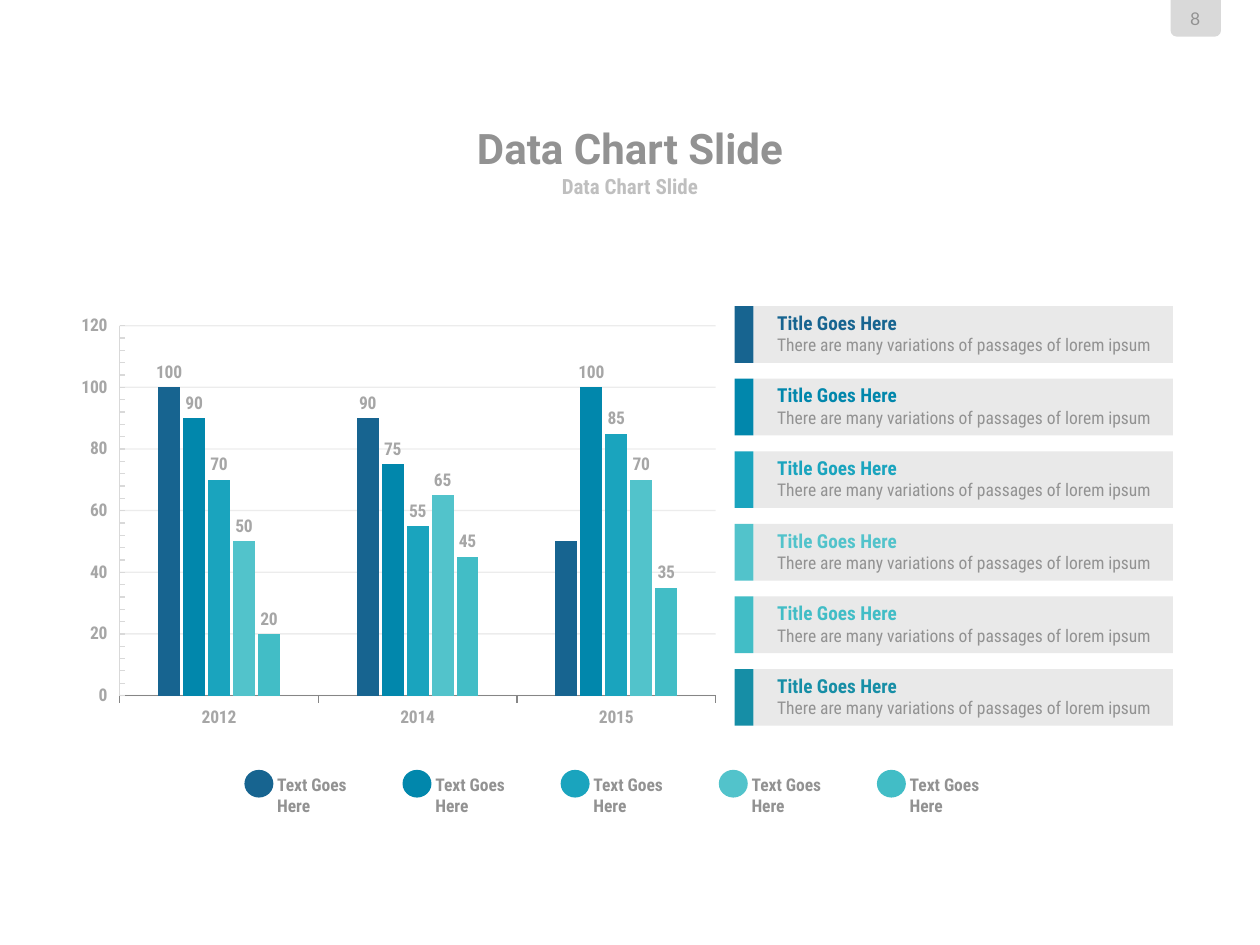
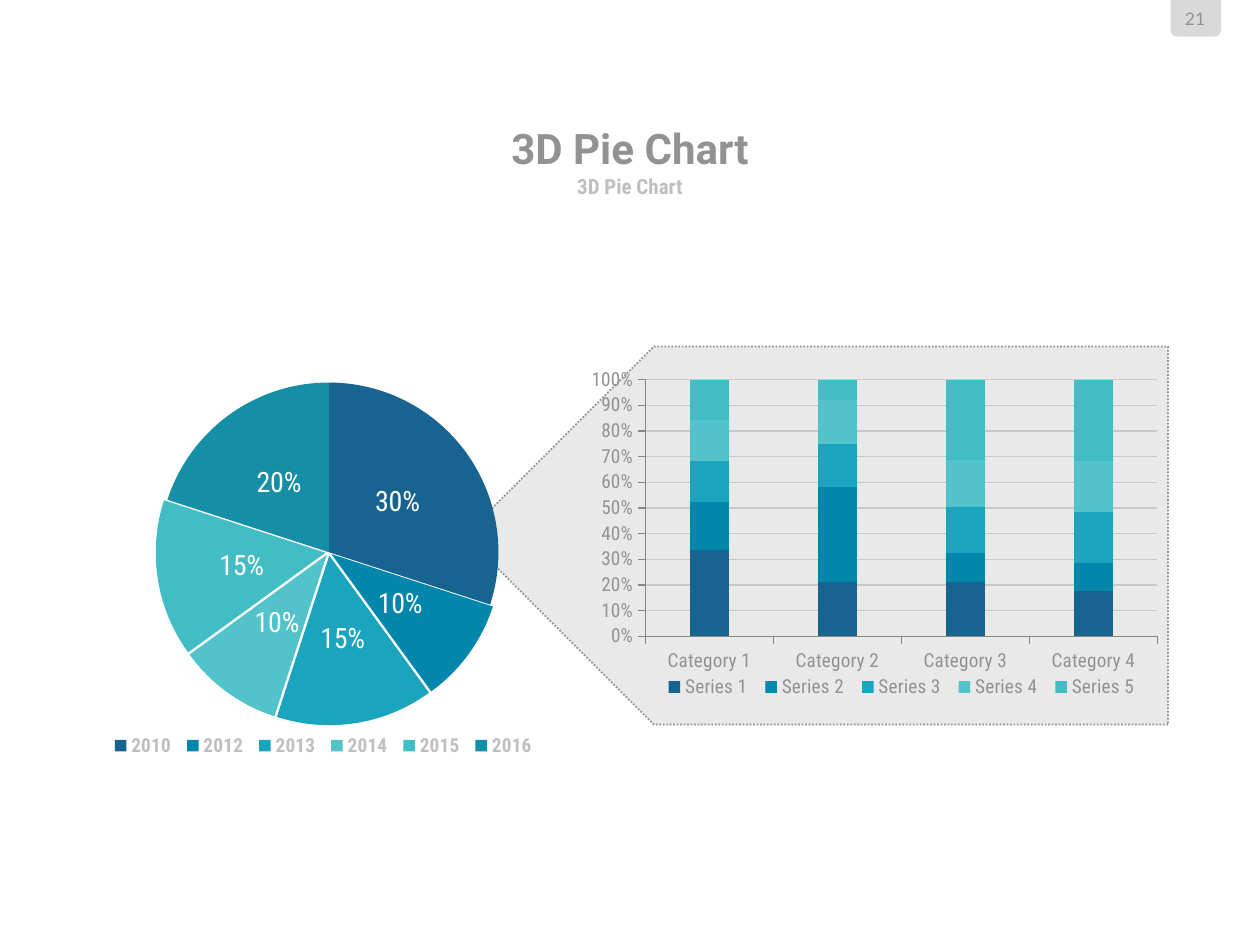
from lxml import etree
from pptx import Presentation
from pptx import util as u
from pptx.chart.data import CategoryChartData
from pptx.dml.color import RGBColor
from pptx.enum import chart as ch, dml, shapes, text
from pptx.oxml import parse_xml
from pptx.oxml.ns import nsdecls, qn

COLORS = {
    "navy": "176490", "ocean": "0187AC", "teal": "1AA4BE",
    "aqua": "52C3CB", "mint": "42BDC6", "deep": "168EA6",
    "grey": "929292", "mid": "A6A6A6", "light": "BFBFBF", "axis": "868686",
    "grid": "C9C9C9", "rule": "D9D9D9", "panel": "E9E9E9", "white": "FFFFFF",
}
PALETTE = ["navy", "ocean", "teal", "aqua", "mint", "deep"]
HEAD, BODY, NUMBER = "Roboto", "Roboto Condensed", "Lato"
COLS, ROWS = 100, 75
SHAPE, TYPE = shapes.MSO_SHAPE, ch.XL_CHART_TYPE
ALIGN, ANCHOR = text.PP_ALIGN, text.MSO_ANCHOR


def rgb(name):
    return RGBColor.from_string(COLORS[name])


def assign(obj, values):
    for key, value in values.items():
        setattr(obj, key, value)


class Deck:
    """Holds the style and the current slide; places are in grid columns and rows."""

    def __init__(self):
        self.prs = Presentation()
        self.prs.slide_width, self.prs.slide_height = u.Inches(10), u.Inches(7.5)
        self.s = None

    def box(self, x, y, w, h):
        col, row = self.prs.slide_width / COLS, self.prs.slide_height / ROWS
        return [u.Emu(round(v)) for v in (x * col, y * row, w * col, h * row)]

    def font(self, font, size, color, name=BODY, bold=False):
        assign(font, {"size": u.Pt(size), "name": name, "bold": bold})
        font.color.rgb = rgb(color)

    def shape(self, kind, at, fill, line=None, turn=0):
        sp = self.s.shapes.add_shape(kind, *self.box(*at))
        sp.shadow.inherit = False
        sp.rotation = turn
        sp.fill.solid()
        sp.fill.fore_color.rgb = rgb(fill)
        if line:
            sp.line.color.rgb = rgb(line)
            assign(sp.line, {"width": u.Pt(1), "dash_style": dml.MSO_LINE.ROUND_DOT})
        else:
            sp.line.fill.background()

    def text(self, at, lines, align=ALIGN.LEFT, anchor=ANCHOR.TOP, inset=(0, 0)):
        """Each line is a pair: its wording and its font values."""
        tf = self.s.shapes.add_textbox(*self.box(*at)).text_frame
        side, end = map(u.Inches, inset)
        assign(tf, {"word_wrap": True, "vertical_anchor": anchor,
                    "margin_left": side, "margin_right": side,
                    "margin_top": end, "margin_bottom": end})
        for i, (words, fmt) in enumerate(lines):
            p = tf.paragraphs[0] if i == 0 else tf.add_paragraph()
            p.alignment = align
            r = p.add_run()
            r.text = words
            self.font(r.font, **fmt)

    def slide(self, title, number):
        self.s = self.prs.slides.add_slide(self.prs.slide_layouts[6])
        centred = {"align": ALIGN.CENTER, "anchor": ANCHOR.MIDDLE}
        # Page badge
        self.shape(SHAPE.ROUND_2_SAME_RECTANGLE, (92.9, 0, 4, 2.9), "rule", turn=180)
        self.text((93.2, 0.6, 3.3, 1.7),
                  [(number, {"size": 10, "color": "grey", "name": NUMBER})], **centred)
        # Title and subtitle
        self.text((19.2, 9.8, 61.6, 3.9),
                  [(title, {"size": 24, "color": "grey", "name": HEAD, "bold": True})],
                  **centred)
        self.text((27.5, 13.7, 45, 2.2),
                  [(title, {"size": 12, "color": "light", "bold": True})], **centred)

    def layout(self, parent, index, place, inner=False):
        """Fix a plot area or legend at shares (x, y, w, h) of its chart."""
        for old in parent.findall(qn("c:layout")):
            parent.remove(old)
        node = parse_xml(f'<c:layout {nsdecls("c")}><c:manualLayout/></c:layout>')
        parts = [("layoutTarget", "inner")] if inner else []
        parts += [("xMode", "edge"), ("yMode", "edge"), *zip("xywh", place)]
        for tag, value in parts:
            etree.SubElement(node[0], qn(f"c:{tag}")).set("val", str(value))
        parent.insert(index, node)

    def chart(self, kind, at, cats, rows, fmt, plot, number_format="General"):
        data = CategoryChartData(number_format=number_format)
        data.categories = cats
        for i, values in enumerate(rows, 1):
            data.add_series(f"Series {i}", values)
        chart = self.s.shapes.add_chart(kind, *self.box(*at), data).chart
        assign(chart, {"has_title": False, "has_legend": False})
        self.font(chart.font, **fmt)
        self.layout(chart.element.xpath(".//c:plotArea")[0], 0, plot, inner=True)
        chart.plots[0].vary_by_categories = kind == TYPE.PIE
        return chart

    def columns(self, *args, gap, overlap, grid, axis, **kw):
        chart = self.chart(*args, **kw)
        assign(chart.plots[0], {"gap_width": gap, "overlap": overlap})
        for ser, color in zip(chart.plots[0].series, PALETTE):
            ser.format.fill.solid()
            ser.format.fill.fore_color.rgb = rgb(color)
            ser.invert_if_negative = False
        cat, val = chart.category_axis, chart.value_axis
        cat.major_tick_mark = ch.XL_TICK_MARK.OUTSIDE
        val.has_major_gridlines = True
        for line, color in ((cat.format.line, "axis"), (val.format.line, axis),
                            (val.major_gridlines.format.line, grid)):
            line.color.rgb = rgb(color)
            line.width = u.Pt(0.75)
        return chart

    def legend(self, chart, place, **fmt):
        chart.has_legend = True
        assign(chart.legend, {"position": ch.XL_LEGEND_POSITION.BOTTOM,
                              "include_in_layout": False})
        self.font(chart.legend.font, **fmt)
        self.layout(chart.element.xpath(".//c:legend")[0], 1, place)

    def card(self, y, color):
        self.shape(SHAPE.RECTANGLE, (59.8, y, 33.3, 4.5), "panel")
        self.shape(SHAPE.RECTANGLE, (58.3, y, 1.5, 4.5), color)
        self.text((60.7, y - 0.1, 32.7, 4.7),
                  [("Title Goes Here", {"size": 11, "color": color, "bold": True}),
                   ("There are many variations of passages of lorem ipsum",
                    {"size": 10, "color": "grey"})], inset=(0.1, 0.05))

    def key(self, x, color):
        self.shape(SHAPE.OVAL, (x, 61.1, 2.3, 2.2), color)
        self.text((x + 2.6, 61.4, 7.5, 3.4),
                  [("Text Goes Here", {"size": 10, "color": "grey", "bold": True})])


def column_slide(deck):
    deck.slide("Data Chart Slide", "8")
    # Clustered columns
    chart = deck.columns(
        TYPE.COLUMN_CLUSTERED, (4.5, 24.2, 53.8, 36.7), ["2012", "2014", "2015"],
        [(100, 90, 50), (90, 75, 100), (70, 55, 85), (50, 65, 70), (20, 45, 35)],
        {"size": 10, "color": "mid", "bold": True}, (0.093, 0.045, 0.879, 0.8),
        gap=351, overlap=-14, grid="rule", axis="rule")
    val = chart.value_axis
    assign(val, {"minimum_scale": 0, "maximum_scale": 120, "major_unit": 20,
                 "minor_unit": 4, "major_tick_mark": ch.XL_TICK_MARK.NONE,
                 "minor_tick_mark": ch.XL_TICK_MARK.INSIDE,
                 "tick_label_position": ch.XL_TICK_LABEL_POSITION.LOW})
    fill = val.major_gridlines.format.line.fill.fore_color
    etree.SubElement(fill._xFill[0], qn("a:alpha")).set("val", "48000")
    # Value labels; the first series leaves its last column bare
    end = ch.XL_LABEL_POSITION.OUTSIDE_END
    first, *others = chart.plots[0].series
    for i in range(2):
        first.points[i].data_label.position = end
    first.data_labels.show_value = False
    for ser in others:
        assign(ser.data_labels, {"show_value": True, "position": end})
    # Cards and key
    for i, color in enumerate(PALETTE):
        deck.card(24.3 + 5.76 * i, color)
    for i, color in enumerate(PALETTE[:5]):
        deck.key(19.4 + 12.55 * i, color)


def pie_slide(deck):
    deck.slide("3D Pie Chart", "21")
    # Callout behind both charts
    deck.shape(SHAPE.PENTAGON, (36.9, 27.5, 55.8, 30), "panel", line="grey", turn=180)
    # Pie, kept clear of the legend below it
    pie = deck.chart(
        TYPE.PIE, (5, 29, 42.2, 34.1), ["2010", "2012", "2013", "2014", "2015", "2016"],
        [(0.3, 0.1, 0.15, 0.1, 0.15, 0.2)], {"size": 16, "color": "white"},
        (0.18, 0.04, 0.64, 0.79), number_format="0%")
    ser = pie.plots[0].series[0]
    for i, color in enumerate(PALETTE):
        fill = ser.points[i].format.fill
        fill.solid()
        fill.fore_color.rgb = rgb(color)
    for sp_pr in ser._element.xpath("c:dPt/c:spPr")[1:5]:
        sp_pr.addprevious(parse_xml(f'<c:explosion {nsdecls("c")} val="2"/>'))
    assign(ser.data_labels, {"show_value": True, "show_percentage": False,
                             "position": ch.XL_LABEL_POSITION.CENTER})
    deck.font(ser.data_labels.font, 16, "white")
    deck.legend(pie, (0.08, 0.85, 0.82, 0.07), size=11, color="light", bold=True)
    # Stacked columns
    stack = deck.columns(
        TYPE.COLUMN_STACKED_100, (46.1, 28.7, 46.7, 28.7),
        [f"Category {i}" for i in range(1, 5)],
        [(34, 21, 21, 18), (19, 37, 11, 11), (16, 17, 18, 20), (16, 17, 18, 20),
         (16, 8, 31, 32)],
        {"size": 11, "color": "grey"}, (0.11, 0.05, 0.87, 0.71),
        gap=222, overlap=100, grid="grid", axis="axis")
    stack.value_axis.major_tick_mark = ch.XL_TICK_MARK.OUTSIDE
    assign(stack.value_axis.tick_labels,
           {"number_format": "0%", "number_format_is_linked": False})
    deck.legend(stack, (0.13, 0.86, 0.83, 0.08), size=11, color="grey")


def main():
    deck = Deck()
    column_slide(deck)
    pie_slide(deck)
    deck.prs.save("out.pptx")


if __name__ == "__main__":
    main()
